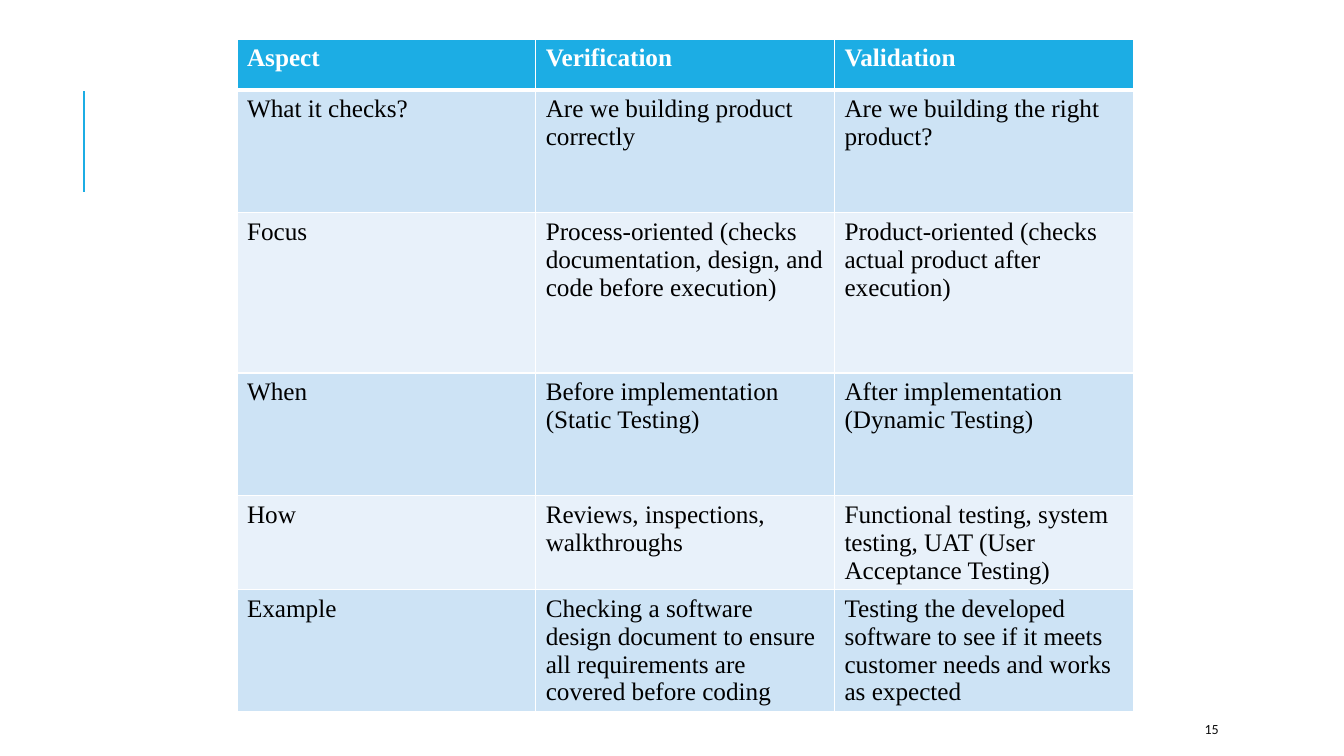
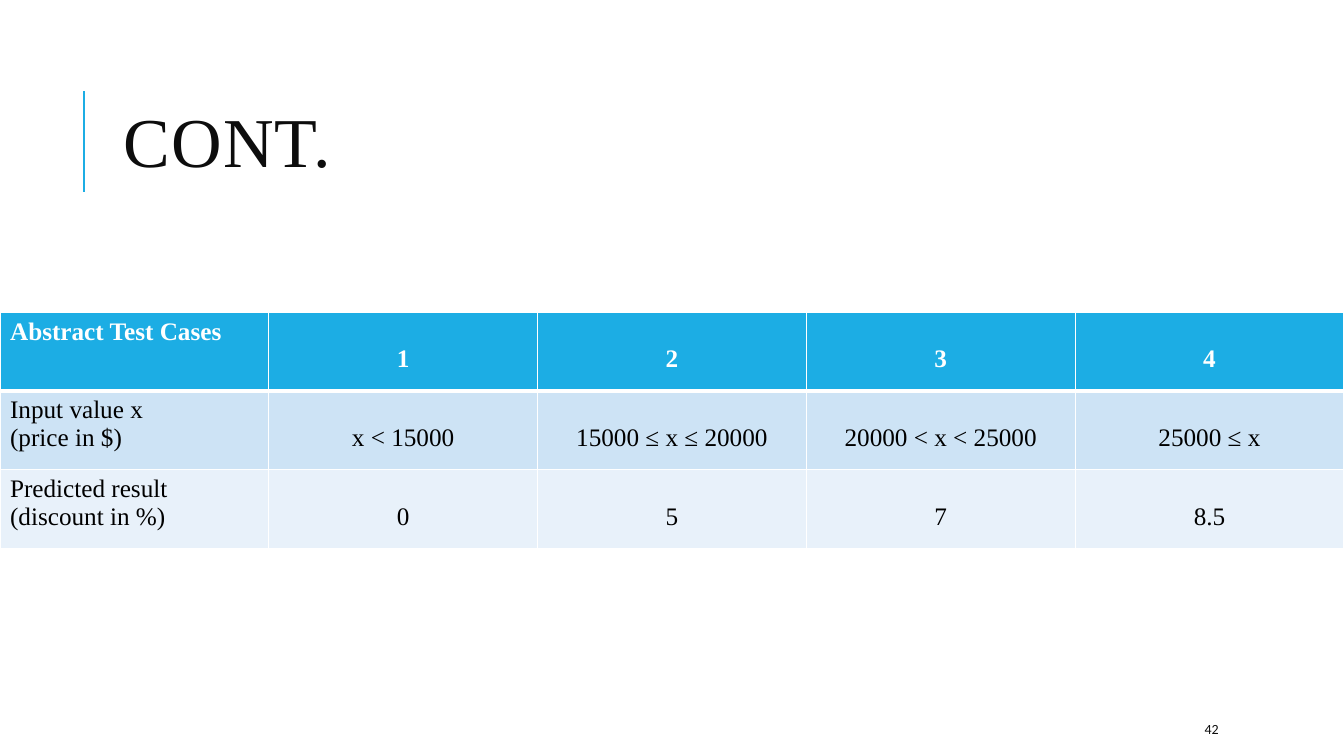
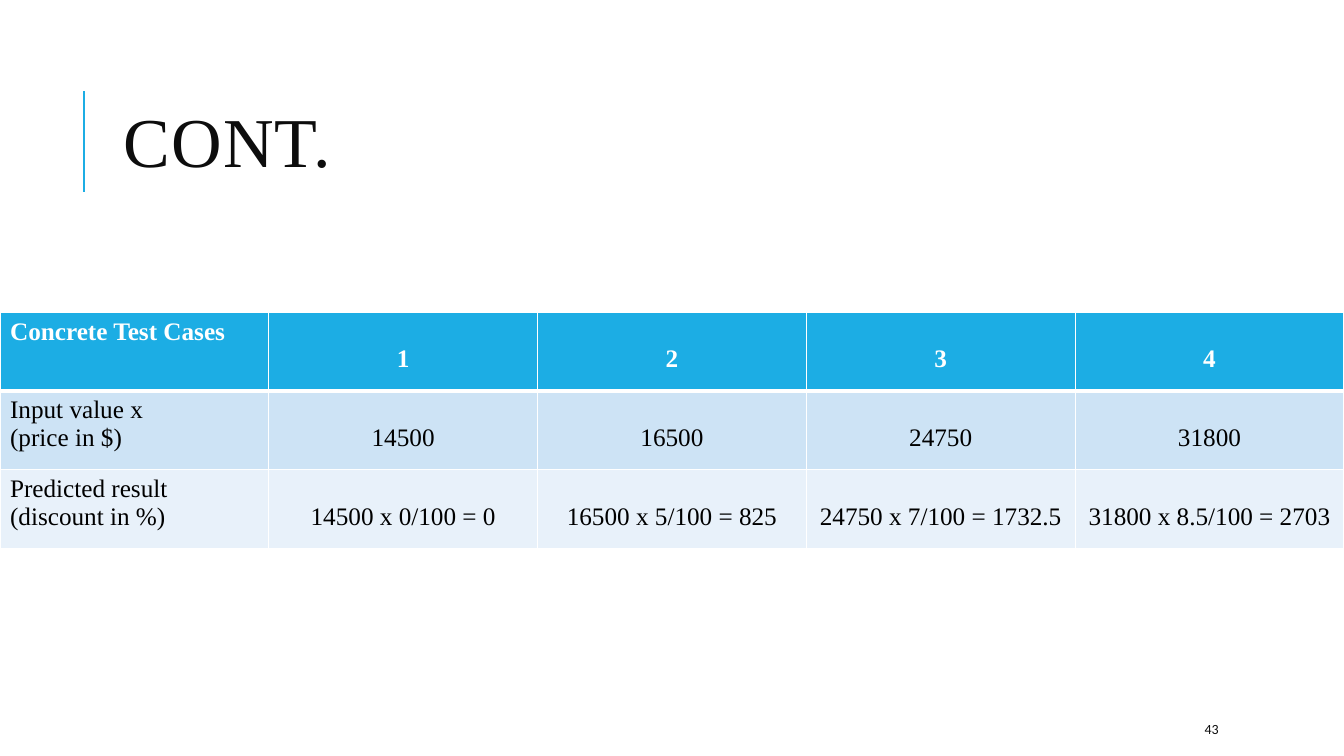
"""Build three slides of software testing tables."""
from lxml import etree
from pptx import Presentation
from pptx.dml.color import RGBColor
from pptx.enum.shapes import MSO_CONNECTOR
from pptx.enum.text import MSO_ANCHOR, MSO_AUTO_SIZE, PP_ALIGN
from pptx.oxml import parse_xml
from pptx.oxml.ns import nsdecls, qn
from pptx.util import Inches, Pt

COLORS = {"accent": "1CADE4", "ink": "0D0D0D", "black": "000000",
          "white": "FFFFFF", "band": "CDE3F5", "light": "E8F1FA"}
SERIF = "Times New Roman"
FORMATS = {
    "title": {"name": SERIF, "size": Pt(50), "color": "ink"},
    "number": {"name": "Calibri", "size": Pt(10), "color": "ink"},
    "header": {"name": SERIF, "size": Pt(18), "bold": True, "color": "white"},
    "body": {"name": SERIF, "size": Pt(18), "bold": False, "color": "black"},
}
ASPECT_GRID = {"box": (2.35, 0.39, 8.89, 6.84),
               "rows": (0.5, 1.22, 1.59, 1.22, 0.83, 0.5),
               "centred": False, "middle": [(5, 1)]}
CASE_GRID = {"box": (0, 3.1, 13.33, 2.33), "rows": (0.78,) * 3,
             "centred": True, "middle": []}
INPUT_LABEL = "Input value x\n(price in $)"
RESULT_LABEL = "Predicted result (discount in %)"

SLIDES = [
    {"title": None, "number": "15", "grid": ASPECT_GRID, "cells": [
        ("Aspect", "Verification", "Validation"),
        ("What it checks?", "Are we building product correctly",
         "Are we building the right product?"),
        ("Focus",
         "Process-oriented (checks documentation, design, and code before execution)",
         "Product-oriented (checks actual product after execution)"),
        ("When", "Before implementation (Static Testing)",
         "After implementation (Dynamic Testing)"),
        ("How", "Reviews, inspections, walkthroughs",
         "Functional testing, system testing, UAT (User Acceptance Testing)"),
        ("Example",
         "Checking a software design document to ensure all requirements are "
         "covered before coding",
         "Testing the developed software to see if it meets customer needs and "
         "works as expected"),
    ]},
    {"title": "CONT.", "number": "42", "grid": CASE_GRID, "cells": [
        ("Abstract Test Cases", "1", "2", "3", "4"),
        (INPUT_LABEL, "x < 15000", "15000 ≤ x ≤ 20000", "20000 < x < 25000",
         "25000 ≤ x"),
        (RESULT_LABEL, "0", "5", "7", "8.5"),
    ]},
    {"title": "CONT.", "number": "43", "grid": CASE_GRID, "cells": [
        ("Concrete Test Cases", "1", "2", "3", "4"),
        (INPUT_LABEL, "14500", "16500", "24750", "31800"),
        (RESULT_LABEL, "14500 x 0/100 = 0", "16500 x 5/100 = 825",
         "24750 x 7/100 = 1732.5", "31800 x 8.5/100 = 2703"),
    ]},
]


def rgb(name):
    return RGBColor.from_string(COLORS[name])


def format_text(text_frame, style):
    for paragraph in text_frame.paragraphs:
        for run in paragraph.runs:
            for attribute, value in FORMATS[style].items():
                if attribute == "color":
                    run.font.color.rgb = rgb(value)
                else:
                    setattr(run.font, attribute, value)


def add_accent_line(slide):
    line = slide.shapes.add_connector(
        MSO_CONNECTOR.STRAIGHT, Inches(0.83), Inches(1.9), Inches(0.83), Inches(0.9))
    line.line.color.rgb = rgb("accent")
    line.line.width = Pt(1.5)
    etree.SubElement(line._element.spPr, qn("a:effectLst"))


def set_title(slide, text):
    title = slide.shapes.title
    box = (1.12, 0.64, 10.63, 1.64)
    title.left, title.top, title.width, title.height = map(Inches, box)
    frame = title.text_frame
    frame.text = text
    frame.auto_size = MSO_AUTO_SIZE.NONE
    frame.vertical_anchor = MSO_ANCHOR.MIDDLE
    paragraph = frame.paragraphs[0]
    paragraph.alignment = PP_ALIGN.LEFT
    paragraph.line_spacing = 0.8
    format_text(frame, "title")
    paragraph.runs[0]._r.get_or_add_rPr().set("spc", "100")


def add_number(slide, text):
    box = slide.shapes.add_textbox(*map(Inches, (11.85, 7.08, 1.06, 0.3)))
    frame = box.text_frame
    frame.word_wrap = True
    frame.vertical_anchor = MSO_ANCHOR.MIDDLE
    frame.text = text
    format_text(frame, "number")


def set_borders(cell, row):
    widths = {"L": 1, "R": 1, "T": 3 if row == 1 else 1, "B": 3 if row == 0 else 1}
    properties = cell._tc.get_or_add_tcPr()
    for side, width in widths.items():
        properties.append(parse_xml(
            f'<a:ln{side} {nsdecls("a")} w="{Pt(width)}"><a:solidFill>'
            f'<a:srgbClr val="{COLORS["white"]}"/></a:solidFill></a:ln{side}>'))


def add_grid(slide, grid, cells):
    left, top, width, height = map(Inches, grid["box"])
    frame = slide.shapes.add_table(
        len(cells), len(cells[0]), left, top, width, height)
    table = frame.table
    for row, row_height in zip(table.rows, grid["rows"]):
        row.height = Inches(row_height)
    frame.height = height
    for row, texts in enumerate(cells):
        fill = "accent" if row == 0 else ("light", "band")[row % 2]
        for column, text in enumerate(texts):
            cell = table.cell(row, column)
            cell.text = text
            set_borders(cell, row)
            cell.fill.solid()
            cell.fill.fore_color.rgb = rgb(fill)
            format_text(cell.text_frame, "body" if row else "header")
            if (row, column) in grid["middle"]:
                cell.vertical_anchor = MSO_ANCHOR.MIDDLE
            if grid["centred"] and column:
                paragraph = cell.text_frame.paragraphs[0]
                paragraph.alignment = PP_ALIGN.CENTER
                paragraph.line_spacing = 2.0


def main():
    presentation = Presentation()
    presentation.slide_width = Inches(13.33)
    presentation.slide_height = Inches(7.5)
    title_only, blank = presentation.slide_layouts[5], presentation.slide_layouts[6]
    for content in SLIDES:
        slide = presentation.slides.add_slide(title_only if content["title"] else blank)
        add_accent_line(slide)
        if content["title"]:
            set_title(slide, content["title"])
        add_grid(slide, content["grid"], content["cells"])
        add_number(slide, content["number"])
    presentation.save("out.pptx")


if __name__ == "__main__":
    main()
